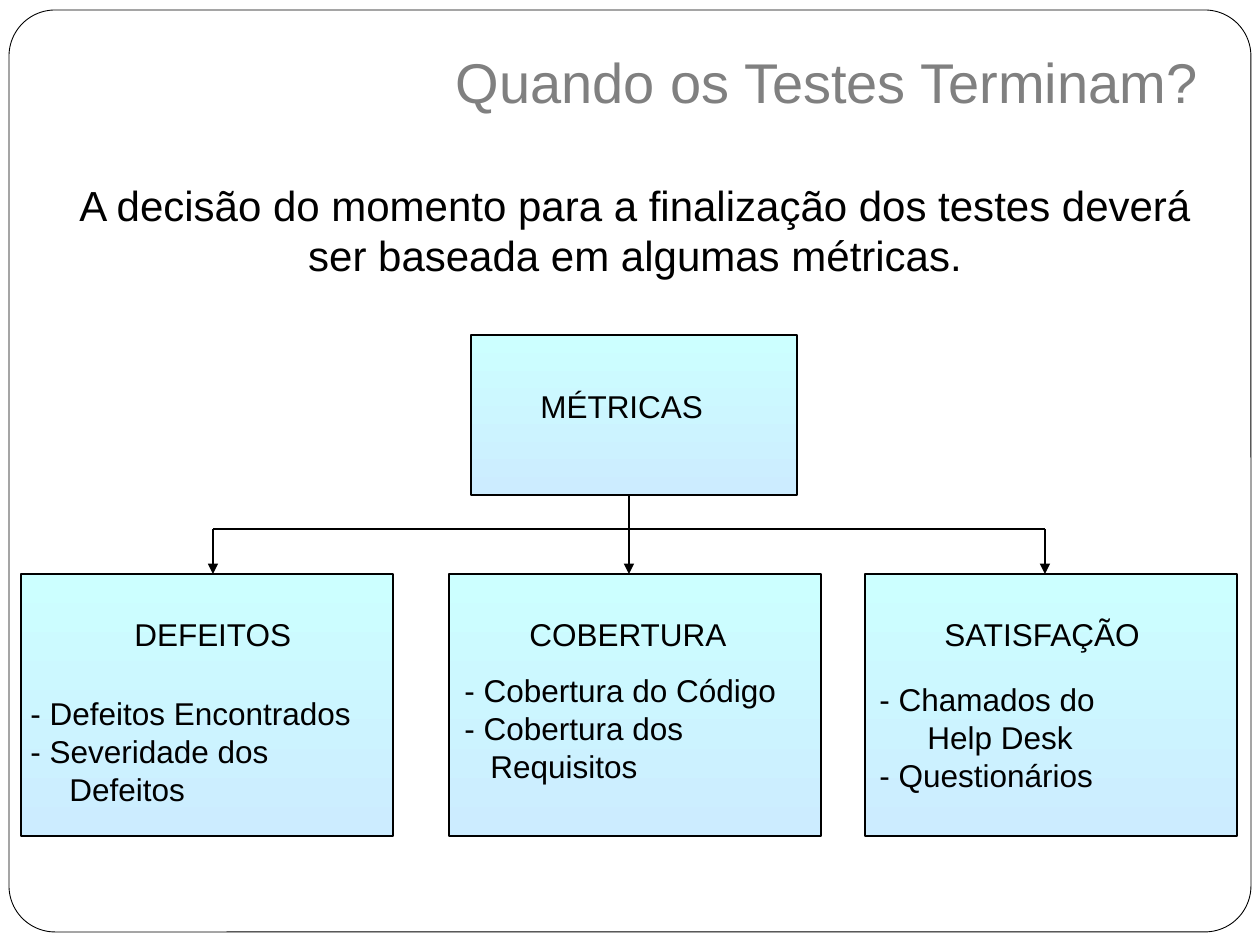
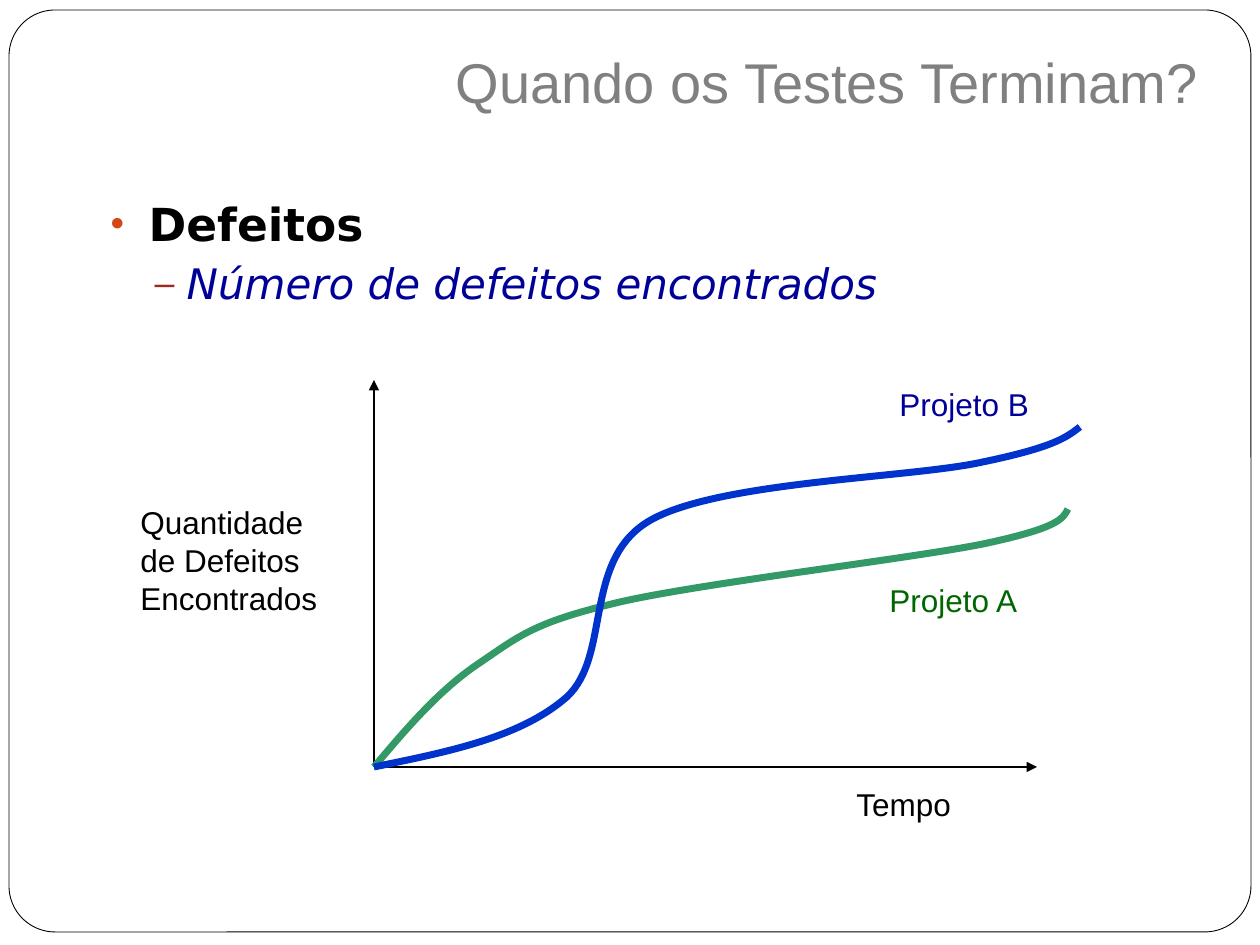
from dataclasses import dataclass

from lxml import etree
from pptx import Presentation
from pptx import util as u
from pptx.dml.color import RGBColor
from pptx.enum import shapes, text
from pptx.oxml.ns import qn


@dataclass(frozen=True)
class Theme:
    font: str = "Arial"
    list_font: str = "DejaVu Sans"
    black: str = "000000"
    white: str = "FFFFFF"
    title: str = "808080"
    card_top: str = "CCFFFF"
    card_bottom: str = "CCECFF"
    bullet: str = "D34817"
    dash: str = "9B2D1F"
    navy: str = "000099"
    label_green: str = "006600"
    curve_green: str = "339966"
    curve_blue: str = "0033CC"
    title_size: int = 32
    topic_size: int = 26
    lead_size: int = 24
    label_size: int = 18


T = Theme()
EMU_PER_PX = 914400 / 126
TITLE = "Quando os Testes Terminam?"


def px(n):
    return u.Emu(round(n * EMU_PER_PX))


def rgb(color):
    return RGBColor.from_string(color)


def place(sp, box):
    sp.left, sp.top, sp.width, sp.height = map(px, box)


def add_run(p, words, size, color=T.black, font=T.font, bold=False, italic=False):
    r = p.add_run()
    r.text = words
    r.font.name, r.font.size = font, u.Pt(size)
    r.font.bold, r.font.italic = bold, italic
    r.font.color.rgb = rgb(color)


def set_indent(p, left, hang):
    pPr = p._p.get_or_add_pPr()
    pPr.set("marL", str(px(left)))
    pPr.set("indent", str(-px(hang)))
    return pPr


def set_bullet(p, left, hang, char, color):
    pPr = set_indent(p, left, hang)
    clr = etree.SubElement(pPr, qn("a:buClr"))
    etree.SubElement(clr, qn("a:srgbClr"), val=color)
    etree.SubElement(pPr, qn("a:buSzPct"), val="85000")
    etree.SubElement(pPr, qn("a:buFont"), typeface=T.font)
    etree.SubElement(pPr, qn("a:buChar"), char=char)


def add_text(s, box, lines, color=T.black, hang=0):
    tf = s.shapes.add_textbox(*map(px, box)).text_frame
    tf.word_wrap = True
    for i, line in enumerate(lines):
        p = tf.paragraphs[0] if i == 0 else tf.add_paragraph()
        set_indent(p, hang, hang)
        for j, part in enumerate(line.split("\n")):
            if j:
                p.add_line_break()
            add_run(p, part, T.label_size, color)


def add_line(s, x1, y1, x2, y2, arrow=True):
    c = s.shapes.add_connector(shapes.MSO_CONNECTOR.STRAIGHT, *map(px, (x1, y1, x2, y2)))
    c.line.color.rgb = rgb(T.black)
    c.line.width = u.Pt(0.75)
    spPr = c.element.spPr
    if arrow:
        etree.SubElement(spPr.find(qn("a:ln")), qn("a:tailEnd"), type="triangle")
    etree.SubElement(spPr, qn("a:effectLst"))


def add_frame(s, box):
    sp = s.shapes.add_shape(shapes.MSO_SHAPE.ROUNDED_RECTANGLE, *map(px, box))
    sp.adjustments[0] = 0.05
    sp.shadow.inherit = False
    sp.fill.solid()
    sp.fill.fore_color.rgb = rgb(T.white)
    sp.line.color.rgb = rgb(T.black)
    sp.line.width = u.Pt(0.5)
    s.slide_layout.shapes.element.insert(2, sp.element)


def add_slide(prs):
    s = prs.slides.add_slide(prs.slide_layouts[1])
    sp = s.shapes.title
    place(sp, (443, 30, 777, 97))
    tf = sp.text_frame
    tf.auto_size = text.MSO_AUTO_SIZE.NONE
    tf.vertical_anchor = text.MSO_ANCHOR.BOTTOM
    tf.margin_bottom = u.Inches(0.1)
    p = tf.paragraphs[0]
    p.alignment = text.PP_ALIGN.LEFT
    add_run(p, TITLE, T.title_size, T.title)
    return s


def body_frame(s, box):
    sp = s.placeholders[1]
    place(sp, box)
    tf = sp.text_frame
    tf.auto_size = text.MSO_AUTO_SIZE.NONE
    tf.paragraphs[0].space_before = u.Pt(0)
    return tf


def add_statement(s, box):
    p = body_frame(s, box).paragraphs[0]
    p.alignment = text.PP_ALIGN.CENTER
    etree.SubElement(set_indent(p, 0, 0), qn("a:buNone"))
    add_run(p, "A decisão do momento para a finalização dos testes deverá "
            "ser baseada em algumas métricas.", T.lead_size)


def add_card(s, box, heading, dx, dy):
    x, y, w, h = box
    sp = s.shapes.add_shape(shapes.MSO_SHAPE.RECTANGLE, *map(px, box))
    sp.shadow.inherit = False
    sp.fill.gradient()
    sp.fill.gradient_angle = 270
    for stop, color in zip(sp.fill.gradient_stops, (T.card_top, T.card_bottom)):
        stop.color.rgb = rgb(color)
    sp.line.color.rgb = rgb(T.black)
    sp.line.width = u.Pt(0.75)
    add_text(s, (x + dx, y + dy, 237, 48), [heading])


def add_metrics_tree(s, box):
    x, y, w, h = box
    card_w, card_h = 372, 262
    card_y = y + h - card_h
    root_h = 160
    add_card(s, (x + 450, y, 326, root_h), "MÉTRICAS", 57, 46)
    cards = [
        (0, "DEFEITOS", 101, -3, 114, 39,
         ["- Defeitos Encontrados", "- Severidade dos Defeitos"]),
        (428, "COBERTURA", 68, 3, 91, 26,
         ["- Cobertura do Código", "- Cobertura dos Requisitos"]),
        (844, "SATISFAÇÃO", 67, 2, 100, 48,
         ["- Chamados do\nHelp Desk", "- Questionários"]),
    ]
    for card_x, heading, heading_dx, list_dx, list_dy, hang, items in cards:
        left = x + card_x
        add_card(s, (left, card_y, card_w, card_h), heading, heading_dx, 35)
        add_text(s, (left + list_dx, card_y + list_dy, card_w - list_dx, 127),
                 items, hang=hang)
    first, middle, last = (x + 192 + 416 * i for i in range(3))
    bus_y = y + 194
    add_line(s, first, bus_y, last, bus_y, arrow=False)
    for branch_x, start_y in ((first, bus_y), (last, bus_y), (middle, y + root_h)):
        add_line(s, branch_x, start_y, branch_x, card_y)


def add_topic(s, box):
    tf = body_frame(s, box)
    p = tf.paragraphs[0]
    set_bullet(p, 38, 38, "•", T.bullet)
    add_run(p, "Defeitos", T.topic_size, font=T.list_font, bold=True)
    p = tf.add_paragraph()
    p.level = 1
    p.space_before = u.Pt(3.8)
    set_bullet(p, 76, 32, "–", T.dash)
    add_run(p, "Número de defeitos encontrados", T.lead_size, T.navy,
            T.list_font, italic=True)


def add_curve(s, x, y, start, controls, color):
    fb = s.shapes.build_freeform(x + start[0], y + start[1], scale=EMU_PER_PX)
    fb.add_line_segments([(x + cx, y + cy) for cx, cy in controls], close=False)
    sp = fb.convert_to_shape()
    sp.shadow.inherit = False
    sp.fill.background()
    sp.line.color.rgb = rgb(color)
    sp.line.width = u.Pt(4)
    segments = list(sp.element.iter(qn("a:lnTo")))
    outline = segments[0].getparent()
    for i in range(0, len(segments), 3):
        bezier = etree.SubElement(outline, qn("a:cubicBezTo"))
        for segment in segments[i:i + 3]:
            bezier.append(segment[0])
            outline.remove(segment)


def add_defect_plot(s, box):
    x, y, w, h = box
    add_line(s, x, y + h, x, y)
    add_line(s, x, y + h, x + w, y + h)
    project_a = [(33, 348), (66, 309), (107, 282), (148, 254), (162, 242), (246, 222),
                 (329, 203), (534, 179), (609, 164), (684, 148), (689, 139), (694, 129)]
    project_b = [(73, 372), (146, 358), (193, 317), (238, 275), (208, 179), (277, 140),
                 (347, 101), (538, 98), (609, 82), (681, 67), (693, 57), (706, 47)]
    for controls, color in ((project_a, T.curve_green), (project_b, T.curve_blue)):
        add_curve(s, x, y, (0, h), controls, color)
    labels = [
        (-246, 117, 127, ["Quantidade", "de Defeitos", "Encontrados"], T.black),
        (470, 399, 48, ["Tempo"], T.black),
        (503, 195, 48, ["Projeto A"], T.label_green),
        (513, -1, 48, ["Projeto B"], T.navy),
    ]
    for dx, dy, height, lines, color in labels:
        add_text(s, (x + dx, y + dy, 236, height), lines, color)


def main():
    prs = Presentation()
    prs.slide_width, prs.slide_height = u.Inches(10), u.Inches(7.5)

    s = add_slide(prs)
    add_frame(s, (9, 10, 1242, 922))
    add_statement(s, (59, 173, 1152, 115))
    add_metrics_tree(s, (21, 335, 1216, 501))

    s = add_slide(prs)
    add_topic(s, (98, 190, 1111, 147))
    add_defect_plot(s, (374, 380, 663, 387))

    prs.save("out.pptx")


if __name__ == "__main__":
    main()
